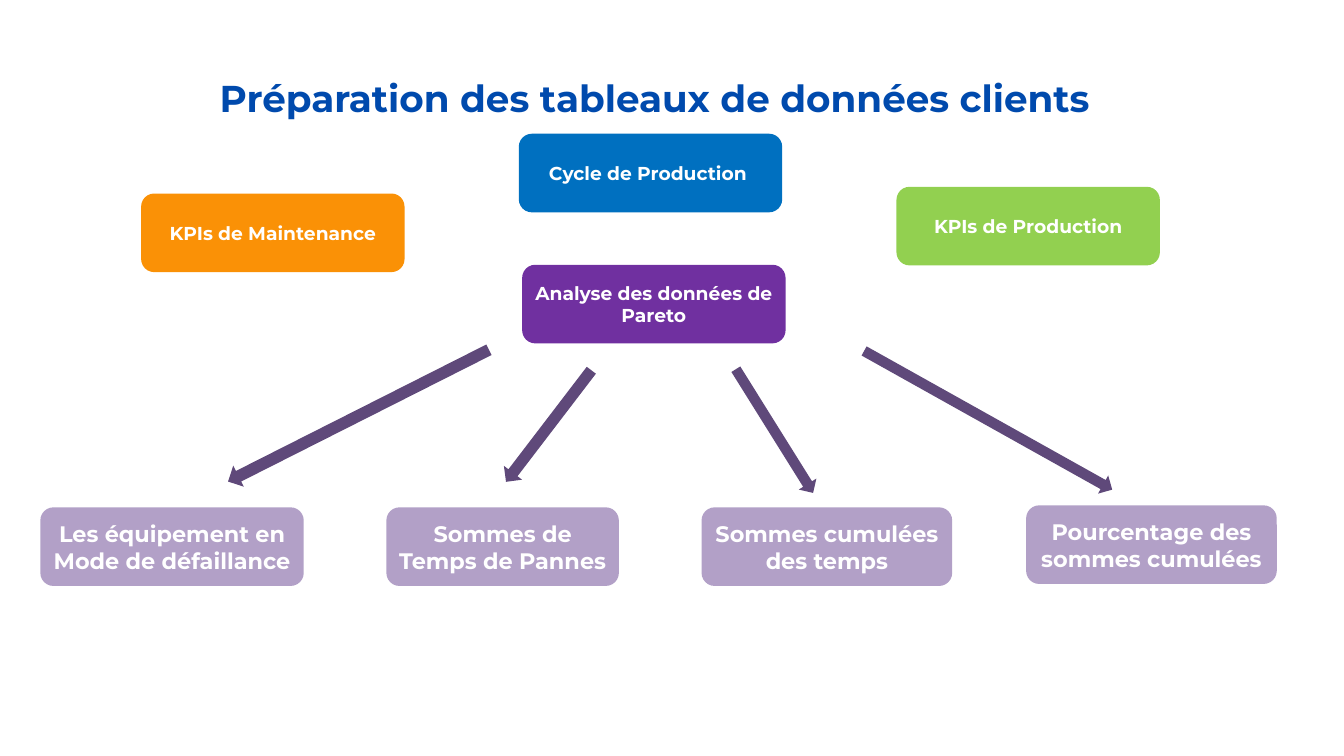
from typing import NamedTuple

from pptx import Presentation
from pptx import util as u
from pptx.dml.color import RGBColor
from pptx.enum import shapes, text

FONT = "Montserrat"
WHITE = "FFFFFF"
TITLE_BLUE = "004AAD"
LILAC = "B2A0C7"
ARROW_PURPLE = "5F497A"
BOX_WIDTH = 282.24
BOX_HEIGHT = 84.24


class Box(NamedTuple):
    label: str
    left: float
    top: float
    fill: str = LILAC
    width: float = BOX_WIDTH
    size: float = 24


class Arrow(NamedTuple):
    left: float
    top: float
    length: float
    thickness: float
    angle: float


TOPICS = [
    Box("Cycle de Production ", 555.84, 143.28, "0070C0", size=20),
    Box("KPIs de Production", 960.48, 200.16, "92D050", size=20),
    Box("KPIs de Maintenance", 151.2, 207.36, "FA9106", size=20),
    Box("Analyse des données de Pareto", 559.44, 283.68, "7030A0", size=20),
]
PARETO_TABLES = [
    Box("Les équipement en Mode de défaillance", 43.2, 543.6),
    Box("Sommes de Temps de Pannes", 414, 543.6, width=249.12),
    Box("Sommes cumulées des temps", 751.68, 543.6, width=268.56),
    Box("Pourcentage des sommes cumulées", 1099.44, 541.44, width=268.56),
]
ARROWS = [
    Arrow(227.52, 432.72, 313.2, 25.2, 153.2),
    Arrow(512.64, 444.24, 150.48, 24.48, 127.4),
    Arrow(751.68, 450.72, 156.24, 22.32, 58),
    Arrow(906.48, 439.2, 304.56, 22.32, 29.2),
]


def color(value: str) -> RGBColor:
    return RGBColor.from_string(value)


def write(tf, label: str, size: float, ink: str):
    tf.word_wrap = True
    p = tf.paragraphs[0]
    p.text = label
    p.alignment = text.PP_ALIGN.CENTER
    p.font.name = FONT
    p.font.size = u.Pt(size)
    p.font.bold = True
    p.font.color.rgb = color(ink)
    return p


def add_title(s, label: str) -> None:
    tf = s.shapes.add_textbox(
        u.Pt(146.16), u.Pt(20.88), u.Pt(1110.24), u.Pt(76.32)
    ).text_frame
    tf.margin_left = tf.margin_right = tf.margin_top = tf.margin_bottom = 0
    write(tf, label, 40, TITLE_BLUE).line_spacing = 2.25


def add_filled(s, kind, left: float, top: float, width: float, height: float, fill: str):
    sp = s.shapes.add_shape(kind, u.Pt(left), u.Pt(top), u.Pt(width), u.Pt(height))
    sp.shadow.inherit = False
    sp.fill.solid()
    sp.fill.fore_color.rgb = color(fill)
    sp.line.fill.background()
    return sp


def add_box(s, box: Box) -> None:
    sp = add_filled(s, shapes.MSO_SHAPE.ROUNDED_RECTANGLE, box.left, box.top,
                    box.width, BOX_HEIGHT, box.fill)
    sp.text_frame.vertical_anchor = text.MSO_ANCHOR.MIDDLE
    write(sp.text_frame, box.label, box.size, WHITE)


def add_arrow(s, arrow: Arrow) -> None:
    sp = add_filled(s, shapes.MSO_SHAPE.RIGHT_ARROW, arrow.left, arrow.top,
                    arrow.length, arrow.thickness, ARROW_PURPLE)
    sp.rotation = arrow.angle


def main() -> None:
    prs = Presentation()
    prs.slide_width, prs.slide_height = u.Pt(1440), u.Pt(810)
    s = prs.slides.add_slide(prs.slide_layouts[6])
    add_title(s, "Préparation des tableaux de données clients")
    for box in TOPICS + PARETO_TABLES:
        add_box(s, box)
    for arrow in ARROWS:
        add_arrow(s, arrow)
    prs.save("out.pptx")


if __name__ == "__main__":
    main()
